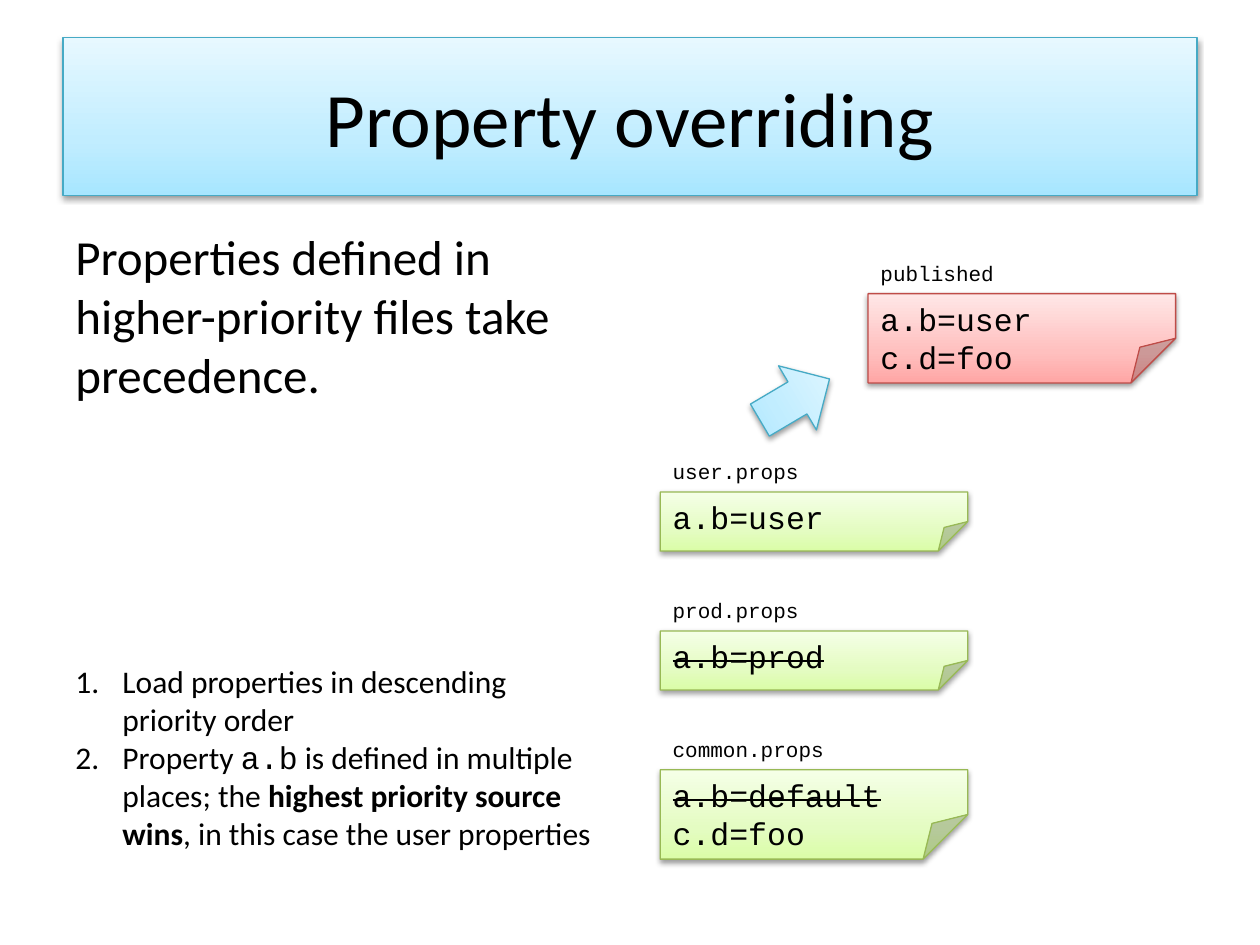
from lxml import etree
from pptx import Presentation
from pptx.dml.color import RGBColor
from pptx.enum import shapes, text
from pptx.oxml.ns import qn
from pptx.util import Cm, Pt

COLORS = {
    "ink": "000000",
    "blue": ("A7E6FF", "C1EDFF", "E7F8FF", "46AAC5"),
    "green": ("DAFDA7", "E4FCC2", "F5FFE7", "98B955"),
    "red": ("FFA6A5", "FFC0BF", "FFE7E7", "BF4C48"),
}
SANS, MONO = "Calibri", "Courier New"
NOTE_WIDTH = 6.2
LABEL_RISE = 0.8


def style_shape(shape, theme):
    *stops, outline = COLORS[theme]
    shape.fill.gradient()
    shape.fill.gradient_angle = 90
    stop_list = shape._element.spPr.find(qn("a:gradFill")).find(qn("a:gsLst"))
    for stop in list(stop_list):
        stop_list.remove(stop)
    for position, color in zip((0, 35000, 100000), stops):
        stop = etree.SubElement(stop_list, qn("a:gs"), pos=str(position))
        etree.SubElement(stop, qn("a:srgbClr"), val=color)
    shape.line.color.rgb = RGBColor.from_string(outline)
    shape.line.width = Pt(0.75)
    shape.shadow.inherit = False
    effects = shape._element.spPr.find(qn("a:effectLst"))
    shadow = etree.SubElement(effects, qn("a:outerShdw"), blurRad="40000", dist="20000",
                              dir="5400000", rotWithShape="0")
    tone = etree.SubElement(shadow, qn("a:srgbClr"), val=COLORS["ink"])
    etree.SubElement(tone, qn("a:alpha"), val="38000")


def write_text(shape, paragraphs, size, align=text.PP_ALIGN.LEFT, anchor=text.MSO_ANCHOR.TOP):
    frame = shape.text_frame
    frame.word_wrap = True
    frame.vertical_anchor = anchor
    for index, spans in enumerate(paragraphs):
        para = frame.paragraphs[0] if index == 0 else frame.add_paragraph()
        para.alignment = align
        for words, font, look in spans:
            span = para.add_run()
            span.text = words
            span.font.name = font
            span.font.size = Pt(size)
            span.font.bold = look == "bold"
            span.font.color.rgb = RGBColor.from_string(COLORS["ink"])
            if look == "strike":
                span._r.get_or_add_rPr().set("strike", "sngStrike")


deck = Presentation()
deck.slide_width, deck.slide_height = Cm(25.4), Cm(19.05)
page = deck.slides.add_slide(deck.slide_layouts[6])

notes = [
    ("common.props", 13.31, 15.52, 1.8, "green", [("a.b=default", "strike"), ("c.d=foo", "")]),
    ("prod.props", 13.31, 12.72, 1.19, "green", [("a.b=prod", "strike")]),
    ("user.props", 13.31, 9.92, 1.19, "green", [("a.b=user", "")]),
    ("published", 17.5, 5.92, 1.8, "red", [("a.b=user", ""), ("c.d=foo", "")]),
]
for name, left, top, height, theme, lines in notes:
    note = page.shapes.add_shape(shapes.MSO_SHAPE.FOLDED_CORNER,
                                 Cm(left), Cm(top), Cm(NOTE_WIDTH), Cm(height))
    guides = note._element.spPr.find(qn("a:prstGeom")).get_or_add_avLst()
    etree.SubElement(guides, qn("a:gd"), name="adj", fmla="val 50000")
    style_shape(note, theme)
    write_text(note, [[(words, MONO, look)] for words, look in lines], 18)
    label = page.shapes.add_textbox(Cm(left), Cm(top - LABEL_RISE), Cm(NOTE_WIDTH), Cm(0.77))
    write_text(label, [[(name, MONO, "")]], 12)

title = page.shapes.add_shape(shapes.MSO_SHAPE.RECTANGLE, Cm(1.27), Cm(0.76), Cm(22.86), Cm(3.18))
style_shape(title, "blue")
write_text(title, [[("Property overriding", SANS, "")]], 44,
           text.PP_ALIGN.CENTER, text.MSO_ANCHOR.MIDDLE)

body = page.shapes.add_textbox(Cm(1.27), Cm(4.45), Cm(11.63), Cm(7.47))
write_text(body, [[("Properties defined in higher-priority files take precedence.", SANS, "")]], 28)

steps = page.shapes.add_textbox(Cm(1.27), Cm(13.23), Cm(11.23), Cm(4.11))
write_text(steps, [
    [("Load properties in descending priority order", SANS, "")],
    [("Property ", SANS, ""), ("a.b", MONO, ""),
     (" is defined in multiple places; the ", SANS, ""),
     ("highest priority source wins", SANS, "bold"),
     (", in this case the user properties", SANS, "")],
], 18)
for para in steps.text_frame.paragraphs:
    props = para._p.get_or_add_pPr()
    props.set("marL", str(Cm(0.95)))
    props.set("indent", str(-Cm(0.95)))
    etree.SubElement(props, qn("a:buFont"), typeface="+mj-lt")
    etree.SubElement(props, qn("a:buAutoNum"), type="arabicPeriod")

arrow = page.shapes.add_shape(shapes.MSO_SHAPE.UP_ARROW, Cm(15.27), Cm(7.24), Cm(1.5), Cm(1.63))
arrow.rotation = 59.4
style_shape(arrow, "blue")

deck.save("out.pptx")
